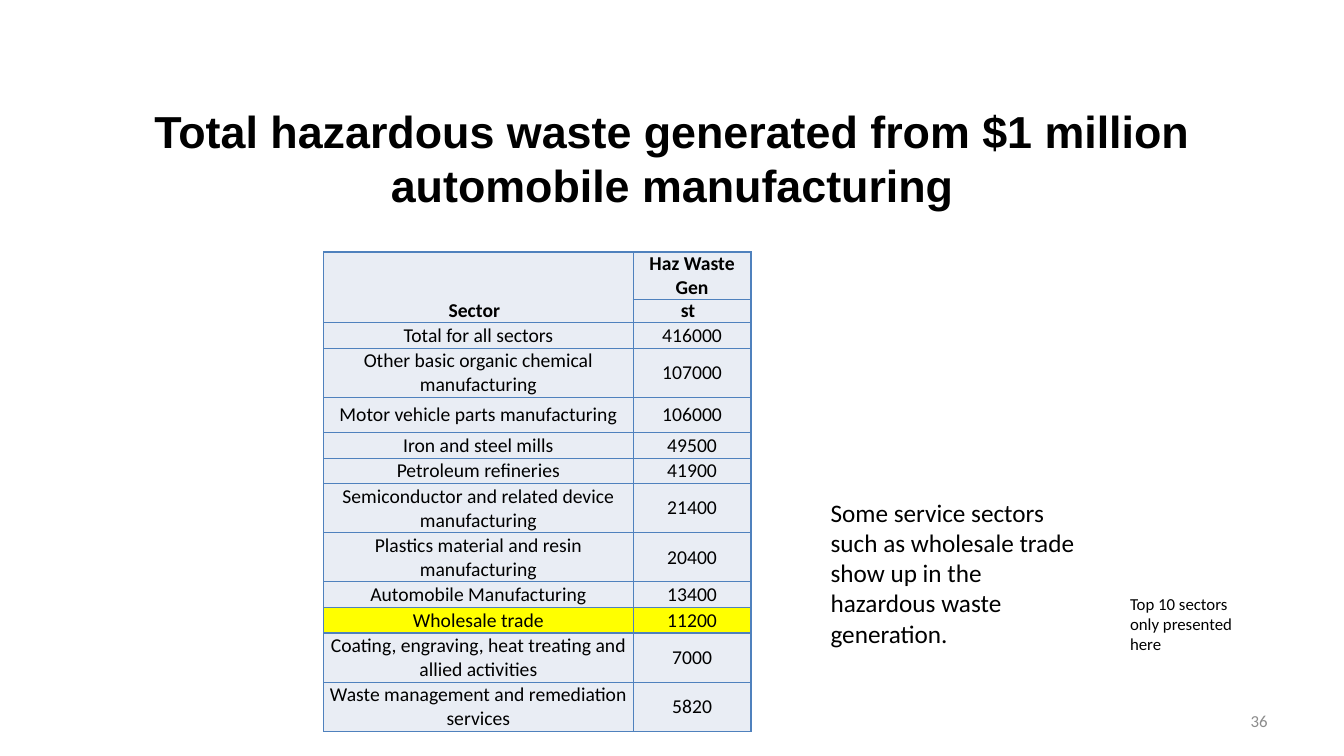
import pptx
import pptx.dml.color
import pptx.enum.text
import pptx.oxml
import pptx.oxml.ns
import pptx.util
from pptx.util import Inches

THEME = {
    "heading_font": "Arial", "body_font": "Calibri",
    "title": 32, "note": 18, "table": 14, "small": 12,
    "ink": "000000", "muted": "8C8C8C",
    "cell": "E9EDF4", "highlight": "FFFF00", "border": "4F81BD",
}
ALIGN = pptx.enum.text.PP_ALIGN
ANCHOR = pptx.enum.text.MSO_ANCHOR

TITLE = "Total hazardous waste generated from $1 million automobile manufacturing"
NOTE = "Some service sectors such as wholesale trade show up in the hazardous waste generation."
SCOPE = "Top 10 sectors only presented here"
PAGE_NUMBER = "36"

HEADER = [("Sector", "Haz Waste Gen"), ("", "st")]
SECTORS = [
    ("Total for all sectors", "416000", 0.2),
    ("Other basic organic chemical manufacturing", "107000", 0.38),
    ("Motor vehicle parts manufacturing", "106000", 0.35),
    ("Iron and steel mills", "49500", 0.2),
    ("Petroleum refineries", "41900", 0.2),
    ("Semiconductor and related device manufacturing", "21400", 0.45),
    ("Plastics material and resin manufacturing", "20400", 0.38),
    ("Automobile Manufacturing", "13400", 0.24),
    ("Wholesale trade", "11200", 0.2),
    ("Coating, engraving, heat treating and allied activities", "7000", 0.45),
    ("Waste management and remediation services", "5820", 0.38),
]
HIGHLIGHTED = "Wholesale trade"
HEADER_HEIGHTS = [0.33, 0.17]
COLUMN_WIDTHS = [3.07, 1.17]
OFFSET_HEADERS = {"Sector", "st"}


def color(name):
    return pptx.dml.color.RGBColor.from_string(THEME[name])


def write(frame, text, size, align, font="body_font", ink="ink", bold=False):
    para = frame.paragraphs[0]
    para.text = text
    para.alignment = align
    para.font.name = THEME[font]
    para.font.size = pptx.util.Pt(THEME[size])
    para.font.bold = bold
    para.font.color.rgb = color(ink)


def add_text(page, place, text, size, align=ALIGN.LEFT, anchor=ANCHOR.TOP, **style):
    box = page.shapes.add_textbox(*map(Inches, place))
    frame = box.text_frame
    frame.word_wrap = True
    frame.vertical_anchor = anchor
    write(frame, text, size, align, **style)


def add_borders(cell):
    properties = cell._tc.get_or_add_tcPr()
    for side in ("lnL", "lnR", "lnT", "lnB"):
        properties.append(pptx.oxml.parse_xml(
            f'<a:{side} {pptx.oxml.ns.nsdecls("a")} w="12700"><a:solidFill>'
            f'<a:srgbClr val="{THEME["border"]}"/></a:solidFill></a:{side}>'))


def fill_cell(cell, text, header, fill):
    add_borders(cell)
    cell.fill.solid()
    cell.fill.fore_color.rgb = color(fill)
    cell.margin_left = 0
    cell.margin_right = Inches(0.08 if text in OFFSET_HEADERS else 0)
    cell.margin_top = cell.margin_bottom = Inches(0 if header else 0.01)
    cell.vertical_anchor = ANCHOR.BOTTOM if header else ANCHOR.MIDDLE
    write(cell.text_frame, text, "table", ALIGN.CENTER, bold=header)


def add_waste_table(page):
    rows = HEADER + [(sector, tons) for sector, tons, _ in SECTORS]
    heights = HEADER_HEIGHTS + [height for _, _, height in SECTORS]
    table = page.shapes.add_table(
        len(rows), len(COLUMN_WIDTHS), Inches(3.21), Inches(2.5),
        Inches(sum(COLUMN_WIDTHS)), Inches(sum(heights))).table
    for column, width in zip(table.columns, COLUMN_WIDTHS):
        column.width = Inches(width)
    for index, (texts, height) in enumerate(zip(rows, heights)):
        table.rows[index].height = Inches(height)
        fill = "highlight" if texts[0] == HIGHLIGHTED else "cell"
        for column, text in enumerate(texts):
            fill_cell(table.cell(index, column), text, index < len(HEADER), fill)
    table.cell(0, 0).merge(table.cell(1, 0))


def main():
    deck = pptx.Presentation()
    deck.slide_width, deck.slide_height = Inches(13.33), Inches(7.5)
    page = deck.slides.add_slide(deck.slide_layouts[6])
    add_text(page, (0.67, 0.98, 12, 1.17), TITLE, "title", ALIGN.CENTER,
             ANCHOR.MIDDLE, font="heading_font", bold=True)
    add_text(page, (9.56, 6.95, 3.11, 0.4), PAGE_NUMBER, "small", ALIGN.RIGHT,
             ANCHOR.MIDDLE, ink="muted")
    add_waste_table(page)
    add_text(page, (11.11, 5.84, 1.39, 0.71), SCOPE, "small")
    add_text(page, (8.14, 4.88, 2.7, 1.62), NOTE, "note")
    deck.save("out.pptx")


if __name__ == "__main__":
    main()
